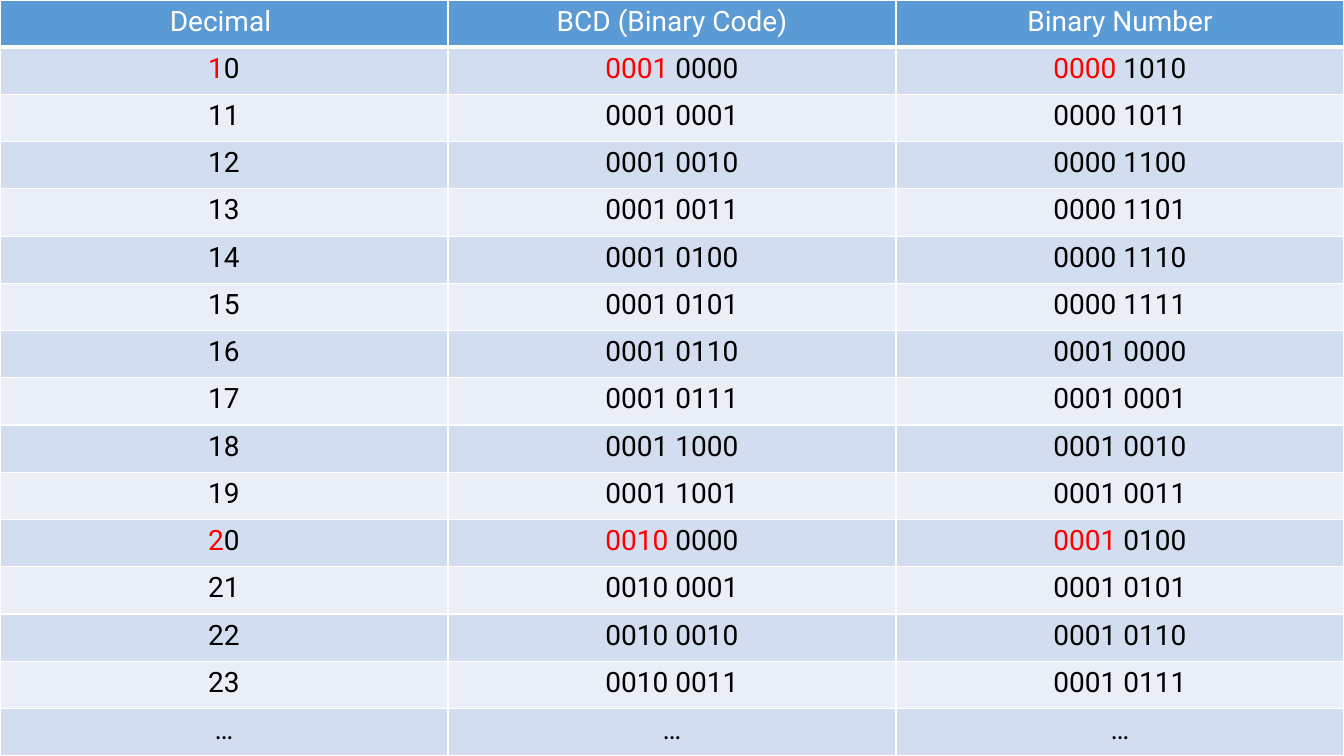
import lxml.etree
import pptx
import pptx.dml.color
import pptx.enum.text
import pptx.oxml.ns
import pptx.util

HEADINGS = ["Decimal ", "BCD (Binary Code)", "Binary Number"]


def rgb(value):
    return pptx.dml.color.RGBColor.from_string(value)


class Deck:
    """Holds the table style and the current slide."""

    font, size = "Roboto", 20
    header, bands = "5B9BD5", ("D2DEEF", "EAEFF7")
    white, black, red = "FFFFFF", "000000", "FF0000"
    thin, thick = 1, 3

    def __init__(self, width, height):
        self.prs = pptx.Presentation()
        self.prs.slide_width = pptx.util.Inches(width)
        self.prs.slide_height = pptx.util.Inches(height)
        self.s = self.prs.slides.add_slide(self.prs.slide_layouts[6])

    def table(self, rows, left=0, top=0, width=1, height=1):
        w, h = self.prs.slide_width, self.prs.slide_height
        table = self.s.shapes.add_table(
            len(rows), len(rows[0]),
            int(left * w), int(top * h), int(width * w), int(height * h),
        ).table
        table.first_row = table.horz_banding = False
        for i, row in enumerate(rows):
            fill = self.bands[(i - 1) % 2] if i else self.header
            above = self.thick if i == 1 else self.thin
            below = self.thick if i == 0 else self.thin
            for j, pieces in enumerate(row):
                cell = table.cell(i, j)
                self.borders(cell, L=self.thin, R=self.thin, T=above, B=below)
                cell.fill.solid()
                cell.fill.fore_color.rgb = rgb(fill)
                self.text(cell.text_frame.paragraphs[0], pieces)

    def borders(self, cell, **widths):
        tcPr = cell._tc.get_or_add_tcPr()
        qn = pptx.oxml.ns.qn
        for side, width in widths.items():
            ln = lxml.etree.SubElement(
                tcPr, qn(f"a:ln{side}"), w=str(pptx.util.Pt(width)))
            solid = lxml.etree.SubElement(ln, qn("a:solidFill"))
            lxml.etree.SubElement(solid, qn("a:srgbClr"), val=self.white)

    def text(self, p, pieces):
        p.alignment = pptx.enum.text.PP_ALIGN.CENTER
        p.font.name = self.font
        p.font.size = pptx.util.Pt(self.size)
        for text, color in pieces:
            r = p.add_run()
            r.text = text
            r.font.color.rgb = rgb(color)


def number_row(deck, n):
    tens, ones = divmod(n, 10)
    high, low = divmod(n, 16)
    pairs = [
        (f"{tens}", f"{ones}"),
        (f"{tens:04b}", f" {ones:04b}"),
        (f"{high:04b}", f" {low:04b}"),
    ]
    if ones == 0:
        return [[(a, deck.red), (b, deck.black)] for a, b in pairs]
    return [[(a + b, deck.black)] for a, b in pairs]


def main():
    deck = Deck(13.33, 7.5)
    heading = [[(text, deck.white)] for text in HEADINGS]
    numbers = [number_row(deck, n) for n in range(10, 24)]
    more = [[("…", deck.black)] for _ in HEADINGS]
    deck.table([heading, *numbers, more])
    deck.prs.save("out.pptx")


if __name__ == "__main__":
    main()
